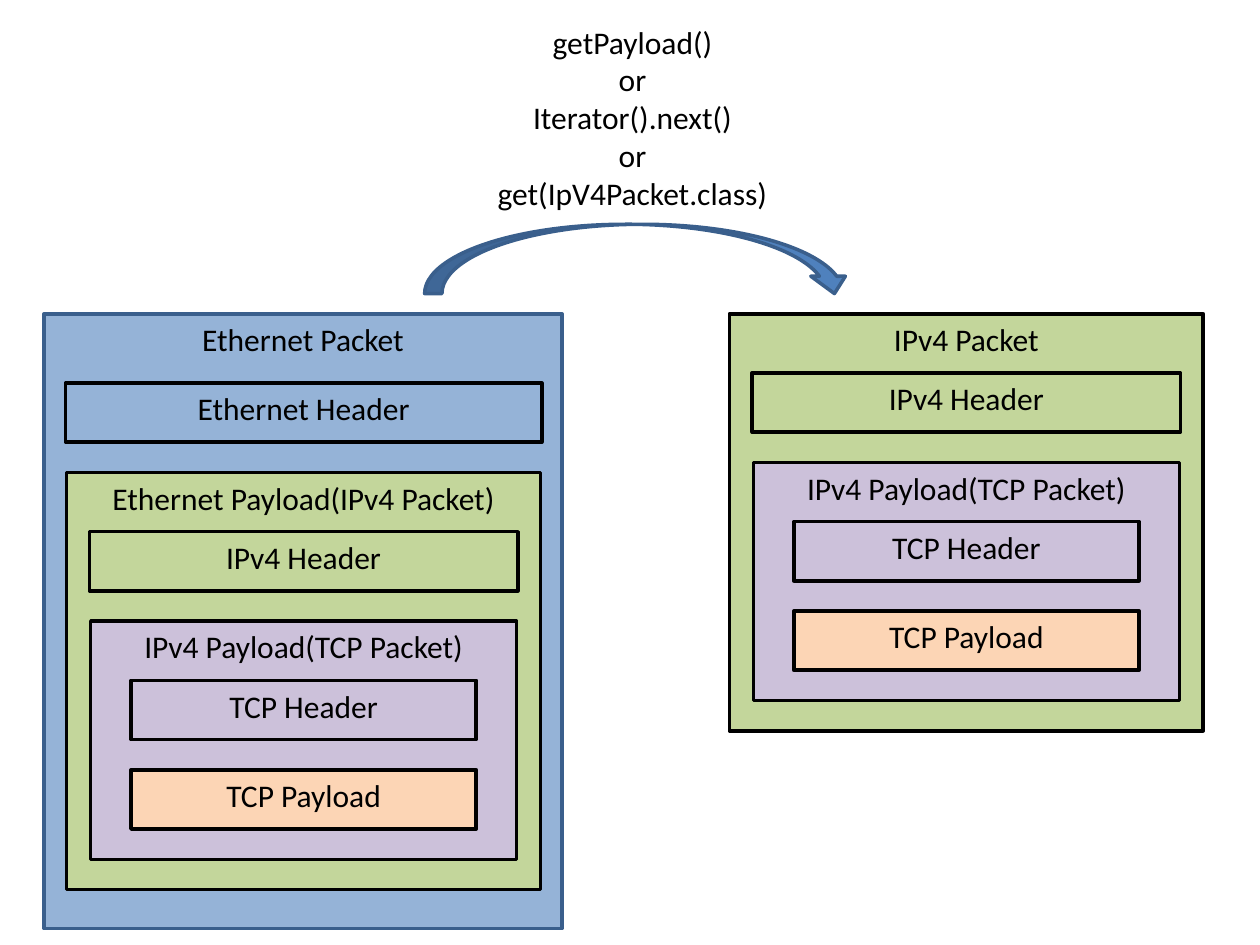
from pptx import Presentation
from pptx.dml.color import RGBColor
from pptx.enum.shapes import MSO_SHAPE
from pptx.enum.text import MSO_ANCHOR, MSO_AUTO_SIZE, PP_ALIGN
from pptx.util import Inches, Pt

RECTANGLE = MSO_SHAPE.RECTANGLE
CURVED_ARROW = MSO_SHAPE.CURVED_DOWN_ARROW
TOP = MSO_ANCHOR.TOP
CENTER = PP_ALIGN.CENTER
GROW = MSO_AUTO_SIZE.SHAPE_TO_FIT_TEXT

COLORS = {
    "ethernet": "95B3D7",
    "ipv4": "C3D69B",
    "tcp": "CCC1DA",
    "payload": "FCD5B5",
    "arrow": "4F81BD",
    "edge": "3A5F8C",
    "ink": "000000",
    "paper": "FFFFFF",
}
FONT = "Calibri"
BAR_HEIGHT = 0.47
HEADER_DROP = 0.47
PAYLOAD_DROP = 1.18


def color(name):
    return RGBColor.from_string(COLORS[name])


def write(frame, lines, size=18, ink="ink", align=CENTER):
    frame.vertical_anchor = TOP
    for index, line in enumerate(lines):
        paragraph = frame.paragraphs[0] if index == 0 else frame.add_paragraph()
        paragraph.alignment = align
        run = paragraph.add_run()
        run.text = line
        run.font.name = FONT
        run.font.size = Pt(size)
        run.font.color.rgb = color(ink)


def block(slide, left, top, width, height, fill, text="", edge="ink", kind=RECTANGLE):
    panel = slide.shapes.add_shape(
        kind, Inches(left), Inches(top), Inches(width), Inches(height))
    panel.shadow.inherit = False
    panel.fill.solid()
    panel.fill.fore_color.rgb = color(fill)
    panel.line.color.rgb = color(edge)
    panel.line.width = Pt(2)
    if text:
        write(panel.text_frame, [text])


def tcp_packet(slide, left, top, title):
    block(slide, left, top, 3.38, 1.89, "tcp", title)
    parts = (("TCP Header", "tcp", HEADER_DROP),
             ("TCP Payload", "payload", PAYLOAD_DROP))
    for text, fill, drop in parts:
        block(slide, left + 0.32, top + drop, 2.74, BAR_HEIGHT, fill, text)


def ipv4_packet(slide, left, top, title):
    block(slide, left, top, 3.76, 3.31, "ipv4", title)
    block(slide, left + 0.18, top + HEADER_DROP, 3.4, BAR_HEIGHT, "ipv4", "IPv4 Header")
    tcp_packet(slide, left + 0.19, top + PAYLOAD_DROP, "IPv4 Payload(TCP Packet)")


def ethernet_packet(slide, left, top, title):
    block(slide, left, top, 4.11, 4.88, "ethernet", title, edge="edge")
    block(slide, left + 0.17, top + 0.55, 3.78, BAR_HEIGHT, "ethernet", "Ethernet Header")
    ipv4_packet(slide, left + 0.18, top + 1.26, "Ethernet Payload(IPv4 Packet)")


def access_step(slide, left, top, calls):
    block(slide, left, top + 1.65, 3.39, 0.55, "arrow", edge="edge", kind=CURVED_ARROW)
    label = slide.shapes.add_textbox(
        Inches(left + 0.37), Inches(top), Inches(2.56), Inches(1.62))
    label.fill.solid()
    label.fill.fore_color.rgb = color("paper")
    label.text_frame.word_wrap = True
    label.text_frame.auto_size = GROW
    write(label.text_frame, calls)


presentation = Presentation()
presentation.slide_width = Inches(10)
presentation.slide_height = Inches(7.5)
packet_slide = presentation.slides.add_slide(presentation.slide_layouts[6])

ethernet_packet(packet_slide, 0.35, 2.49, "Ethernet Packet")
ipv4_packet(packet_slide, 5.79, 2.49, "IPv4 Packet")
access_step(packet_slide, 3.37, 0.13, [
    "getPayload()", "or", "Iterator().next()", "or", "get(IpV4Packet.class)"])

presentation.save("out.pptx")
